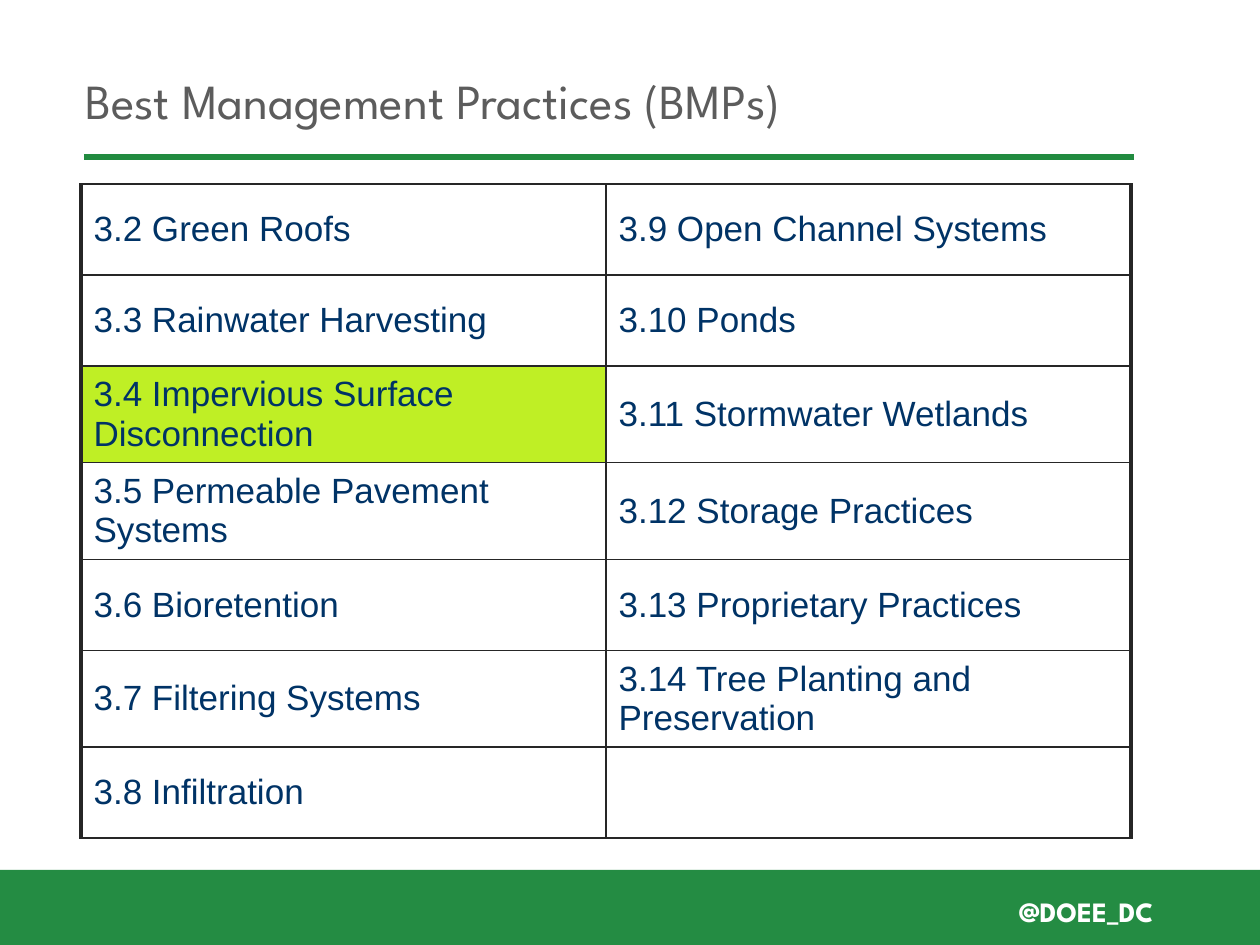
from lxml.etree import SubElement
from pptx import Presentation
from pptx.dml.color import RGBColor
from pptx.enum.shapes import MSO_CONNECTOR, MSO_SHAPE
from pptx.enum.text import MSO_ANCHOR, PP_ALIGN
from pptx.oxml.ns import qn
from pptx.util import Emu, Pt

GRAY = RGBColor(0x5C, 0x5C, 0x5C)
RULE_GREEN = RGBColor(0x21, 0x8B, 0x40)
BAR_GREEN = RGBColor(0x24, 0x8C, 0x43)
WHITE = RGBColor(0xFF, 0xFF, 0xFF)
NAVY = RGBColor(0x00, 0x33, 0x66)
LIME = RGBColor(0xBF, 0xEF, 0x25)
BORDER = RGBColor(0x26, 0x26, 0x26)

TITLE_FORMAT = {"name": "League Spartan", "size": Pt(28)}
HANDLE_FORMAT = {"name": "League Spartan", "size": Pt(16), "bold": True}
CELL_FORMAT = {"name": "Arial", "size": Pt(20)}

PRACTICES = [
    ("3.2 Green Roofs", "3.9 Open Channel Systems"),
    ("3.3 Rainwater Harvesting", "3.10 Ponds"),
    ("3.4 Impervious Surface Disconnection", "3.11 Stormwater Wetlands"),
    ("3.5 Permeable Pavement Systems", "3.12 Storage Practices"),
    ("3.6 Bioretention", "3.13 Proprietary Practices"),
    ("3.7 Filtering Systems", "3.14 Tree Planting and Preservation"),
    ("3.8 Infiltration", ""),
]
HIGHLIGHT = (2, 0)
ROW_HEIGHT = 91
COLUMN_WIDTH = 525


def px(count):
    return Emu(round(count * 914400 / 126))


def box(*lengths):
    return [px(length) for length in lengths]


def write(frame, text, values, color, align=PP_ALIGN.LEFT):
    frame.text = text
    paragraph = frame.paragraphs[0]
    paragraph.alignment = align
    font = paragraph.runs[0].font if text else paragraph.font
    for name, value in values.items():
        setattr(font, name, value)
    font.color.rgb = color


def add_title(slide, text):
    title = slide.shapes.title
    title.left, title.top, title.width, title.height = box(73, 32, 1014, 136)
    title.text_frame.vertical_anchor = MSO_ANCHOR.MIDDLE
    write(title.text_frame, text, TITLE_FORMAT, GRAY)


def add_rule(slide):
    rule = slide.shapes.add_connector(MSO_CONNECTOR.STRAIGHT, *box(84, 157, 1134, 157))
    rule.line.color.rgb = RULE_GREEN
    rule.line.width = Pt(3)
    SubElement(rule.line._get_or_add_ln().getparent(), qn("a:effectLst"))


def add_footer(slide, text):
    bar = slide.shapes.add_shape(MSO_SHAPE.RECTANGLE, *box(-32, 870, 1355, 85))
    bar.shadow.inherit = False
    bar.fill.solid()
    bar.fill.fore_color.rgb = BAR_GREEN
    bar.line.fill.background()
    handle = slide.shapes.add_textbox(*box(977, 888, 189, 47))
    handle.text_frame.word_wrap = True
    write(handle.text_frame, text, HANDLE_FORMAT, WHITE, PP_ALIGN.RIGHT)


def set_borders(cell, widths):
    properties = cell._tc.get_or_add_tcPr()
    for side, width in widths.items():
        line = SubElement(properties, qn(f"a:ln{side}"), w=str(Pt(width)))
        fill = SubElement(line, qn("a:solidFill"))
        SubElement(fill, qn("a:srgbClr"), val=str(BORDER))


def add_practices(slide):
    rows, columns = len(PRACTICES), len(PRACTICES[0])
    frame = slide.shapes.add_table(
        rows, columns, *box(81, 184, columns * COLUMN_WIDTH, rows * ROW_HEIGHT))
    table = frame.table
    table.first_row = table.horz_banding = False
    for r, practices in enumerate(PRACTICES):
        for c, practice in enumerate(practices):
            cell = table.cell(r, c)
            cell.vertical_anchor = MSO_ANCHOR.MIDDLE
            write(cell.text_frame, practice, CELL_FORMAT, NAVY)
            # Heavy lines on the outer sides only
            set_borders(cell, {"L": 2.25 if c == 0 else 1,
                               "R": 2.25 if c == columns - 1 else 1,
                               "T": 1, "B": 1})
            if (r, c) == HIGHLIGHT:
                cell.fill.solid()
                cell.fill.fore_color.rgb = LIME
            else:
                cell.fill.background()


def main():
    presentation = Presentation()
    presentation.slide_width, presentation.slide_height = box(1260, 945)
    slide = presentation.slides.add_slide(presentation.slide_layouts[5])

    # Heading
    add_title(slide, "Best Management Practices (BMPs)")
    add_rule(slide)

    # Footer
    add_footer(slide, "@DOEE_DC")

    # Practice list
    add_practices(slide)

    presentation.save("out.pptx")


if __name__ == "__main__":
    main()
